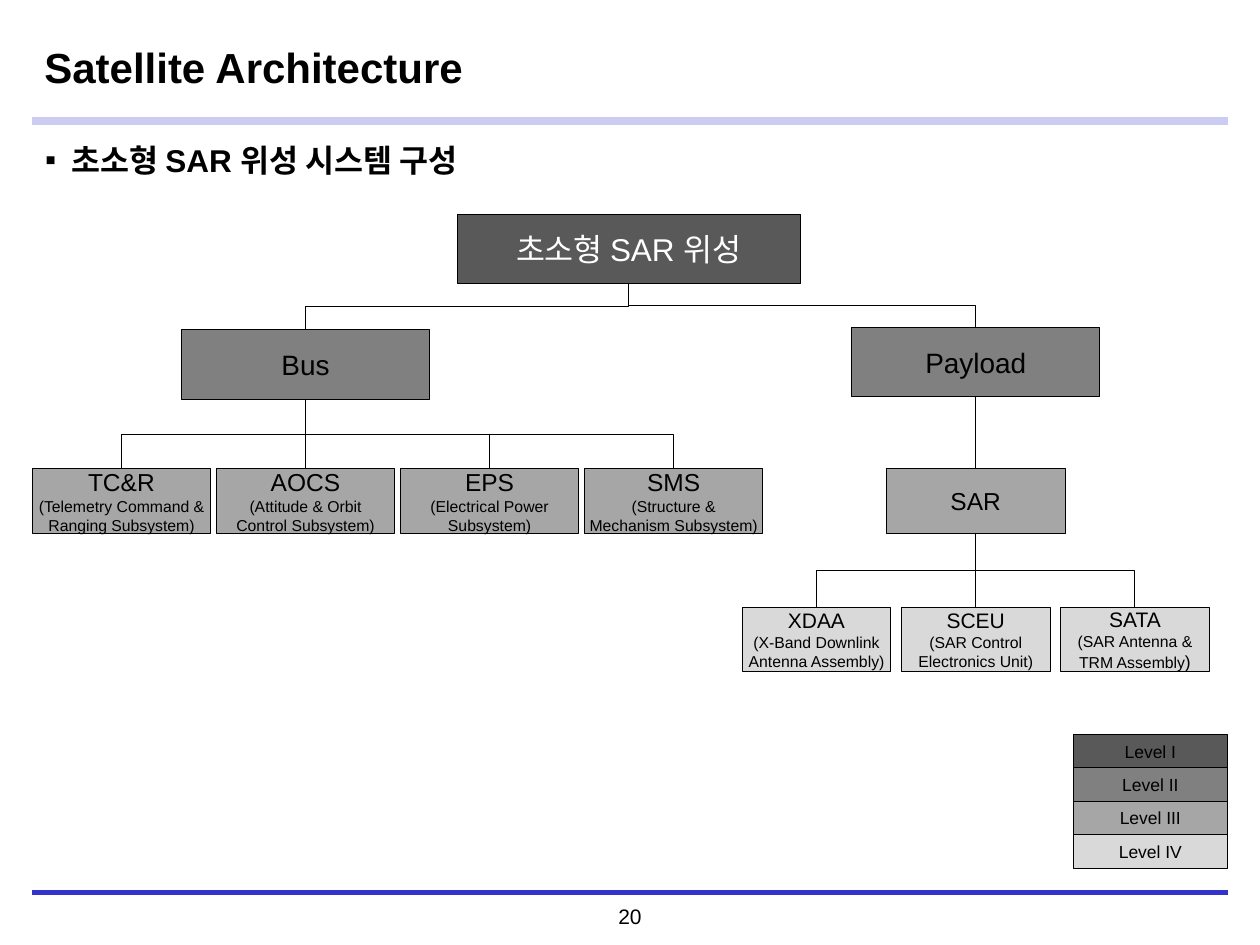
from lxml.etree import SubElement
from pptx import Presentation
from pptx.dml.color import RGBColor
from pptx.enum.shapes import MSO_CONNECTOR as LINE, MSO_SHAPE as SHAPE
from pptx.enum.text import MSO_ANCHOR as ANCHOR, PP_ALIGN as ALIGN
from pptx.oxml.ns import qn
from pptx.shapes.connector import Connector
from pptx.util import Cm, Pt

BLACK = RGBColor(0x00, 0x00, 0x00)
WHITE = RGBColor(0xFF, 0xFF, 0xFF)
LAVENDER = RGBColor(0xCC, 0xCC, 0xF3)
BLUE = RGBColor(0x33, 0x33, 0xCC)
LEVEL_1 = RGBColor(0x59, 0x59, 0x59)
LEVEL_2 = RGBColor(0x80, 0x80, 0x80)
LEVEL_3 = RGBColor(0xA6, 0xA6, 0xA6)
LEVEL_4 = RGBColor(0xD9, 0xD9, 0xD9)
FONT = "Arial"

prs = Presentation()
prs.slide_width, prs.slide_height = Cm(25.4), Cm(19.05)
slide = prs.slides.add_slide(prs.slide_layouts[5])


def add_box(left, top, width, height, fill, lines, color=BLACK):
    """Add a centred box; each line is a list of (text, size) runs."""
    sp = slide.shapes.add_shape(SHAPE.RECTANGLE, Cm(left), Cm(top), Cm(width), Cm(height))
    sp.shadow.inherit = False
    sp.fill.solid()
    sp.fill.fore_color.rgb = fill
    sp.line.color.rgb = BLACK
    sp.line.width = Pt(0.5)
    tf = sp.text_frame
    tf.word_wrap = False
    tf.vertical_anchor = ANCHOR.MIDDLE
    tf.margin_left = tf.margin_right = tf.margin_top = tf.margin_bottom = 0
    for i, runs in enumerate(lines):
        p = tf.add_paragraph() if i else tf.paragraphs[0]
        p.alignment = ALIGN.CENTER
        for text, size in runs:
            r = p.add_run()
            r.text = text
            r.font.name, r.font.size, r.font.color.rgb = FONT, Pt(size), color
    return sp


def connect(parent, child):
    """Join parent's bottom to child's top, with a vertical-first elbow if offset."""
    x1, y1 = parent.left + parent.width // 2, parent.top + parent.height
    x2, y2 = child.left + child.width // 2, child.top
    straight = abs(x2 - x1) < Cm(0.02)
    s = slide.shapes.add_connector(LINE.STRAIGHT if straight else LINE.ELBOW, x1, y1, x2, y2)
    s.begin_connect(parent, 2)
    s.end_connect(child, 0)
    s.line.color.rgb = BLACK
    s.line.width = Pt(0.5)
    if not straight:
        # The preset elbow runs sideways, so its frame is turned by a quarter
        s.width, s.height = y2 - y1, abs(x2 - x1)
        s.left, s.top = (x1 + x2 - s.width) // 2, (y1 + y2 - s.height) // 2
        xfrm = s._element.spPr.find(qn("a:xfrm"))
        xfrm.set("rot", "16200000" if x2 > x1 else "5400000")
        xfrm.set("flipH", "1" if x2 > x1 else "0")


# Title, heading and page number
title = slide.shapes.title
title.left, title.top, title.width, title.height = Cm(0.64), Cm(0.36), Cm(19.4), Cm(1.95)
heading = slide.shapes.add_textbox(Cm(0.66), Cm(2.72), Cm(24.08), Cm(1.1))
number = slide.shapes.add_textbox(Cm(10.64), Cm(18.08), Cm(4.12), Cm(0.76))
for s, text, size, bold, align in (
    (title, "Satellite Architecture", 24, True, ALIGN.LEFT),
    (heading, "초소형 SAR 위성 시스템 구성", 18, True, ALIGN.LEFT),
    (number, "20", 12, False, ALIGN.CENTER),
):
    tf = s.text_frame
    tf.word_wrap = True
    p = tf.paragraphs[0]
    p.alignment = align
    r = p.add_run()
    r.text = text
    r.font.name, r.font.size, r.font.bold = FONT, Pt(size), bold
    r.font.color.rgb = BLACK
title.text_frame.vertical_anchor = ANCHOR.MIDDLE
pPr = heading.text_frame.paragraphs[0]._p.get_or_add_pPr()
pPr.set("marL", str(Cm(0.53)))
pPr.set("indent", str(-Cm(0.53)))
SubElement(pPr, qn("a:buFont"), typeface=FONT)
SubElement(pPr, qn("a:buChar"), char="▪")

# Header and footer rules
for y, color, width in ((2.44, LAVENDER, 4.5), (17.99, BLUE, 2.5)):
    s = slide.shapes.add_connector(LINE.STRAIGHT, Cm(0.64), Cm(y), Cm(24.76), Cm(y))
    s.line.color.rgb = color
    s.line.width = Pt(width)

# Satellite, its two segments and the payload's subsystem
satellite = add_box(9.22, 4.32, 6.91, 1.4, LEVEL_1, [[("초소형 SAR 위성", 18)]], WHITE)
bus = add_box(3.66, 6.65, 5, 1.4, LEVEL_2, [[("Bus", 16)]])
payload = add_box(17.17, 6.6, 5, 1.4, LEVEL_2, [[("Payload", 16)]])
sar = add_box(17.87, 9.45, 3.6, 1.3, LEVEL_3, [[("SAR", 14)]])
for parent, child in ((satellite, bus), (satellite, payload), (payload, sar)):
    connect(parent, child)

# Rows of children: parent, left, top, width, pitch, fill, name size, entries
bus_parts = [
    ("TC&R", [("(Telemetry Command &", 9)], [("Ranging Subsystem)", 9)]),
    ("AOCS", [("(Attitude & Orbit", 9)], [("Control Subsystem)", 9)]),
    ("EPS", [("(Electrical Power", 9)], [("Subsystem)", 9)]),
    ("SMS", [("(Structure &", 9)], [("Mechanism Subsystem)", 9)]),
]
sar_parts = [
    ("XDAA", [("(X-Band Downlink", 9)], [("Antenna Assembly)", 9)]),
    ("SCEU", [("(SAR Control", 9)], [("Electronics Unit)", 9)]),
    ("SATA", [("(SAR Antenna &", 9)], [("TRM Assembly", 9), (")", 10)]),
]
for parent, left, top, width, pitch, fill, size, parts in (
    (bus, 0.66, 9.45, 3.58, 3.71, LEVEL_3, 14, bus_parts),
    (sar, 14.96, 12.24, 3, 3.21, LEVEL_4, 12, sar_parts),
):
    for i, (name, *details) in enumerate(parts):
        lines = [[(name, size)], *details]
        connect(parent, add_box(left + i * pitch, top, width, 1.3, fill, lines))

# Legend
for i, (numeral, fill) in enumerate(
    zip(("I", "II", "III", "IV"), (LEVEL_1, LEVEL_2, LEVEL_3, LEVEL_4))
):
    add_box(21.64, 14.81 + i * 0.67, 3.1, 0.68, fill, [[(f"Level {numeral}", 10)]])

# Connectors carry a theme shadow until given an empty effect list
for s in slide.shapes:
    if isinstance(s, Connector):
        SubElement(s._element.spPr, qn("a:effectLst"))

prs.save("out.pptx")
